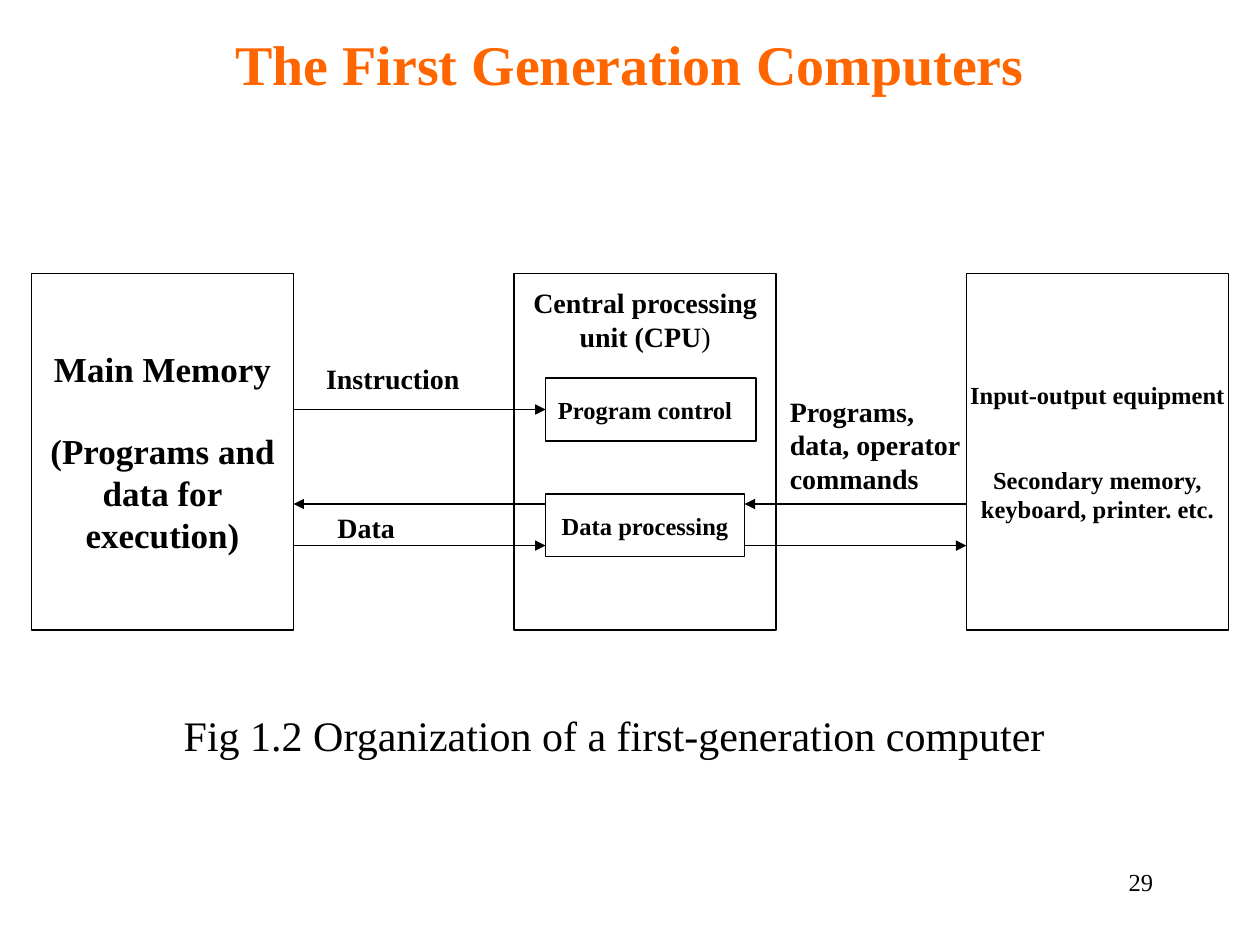
from dataclasses import dataclass

from lxml import etree
from pptx import Presentation
from pptx.dml.color import RGBColor
from pptx.enum.shapes import MSO_CONNECTOR, MSO_SHAPE
from pptx.enum.text import MSO_ANCHOR, PP_ALIGN
from pptx.oxml.ns import qn
from pptx.util import Inches, Pt

LEFT, CENTER, RIGHT = PP_ALIGN.LEFT, PP_ALIGN.CENTER, PP_ALIGN.RIGHT
TOP, MIDDLE = MSO_ANCHOR.TOP, MSO_ANCHOR.MIDDLE
RECT, STRAIGHT = MSO_SHAPE.RECTANGLE, MSO_CONNECTOR.STRAIGHT


@dataclass(frozen=True)
class Theme:
    font: str = "Times New Roman"
    ink: RGBColor = RGBColor(0x00, 0x00, 0x00)
    paper: RGBColor = RGBColor(0xFF, 0xFF, 0xFF)
    accent: RGBColor = RGBColor(0xFF, 0x66, 0x00)
    title: int = 32
    caption: int = 24
    memory: int = 20
    label: int = 16
    small: int = 14
    line: float = 0.75


THEME = Theme()


def write(sp, lines, size, bold=True, color=THEME.ink, align=LEFT,
          anchor=TOP, wrap=True):
    tf = sp.text_frame
    tf.text = "\n".join(lines)
    tf.word_wrap = wrap
    tf.vertical_anchor = anchor
    for p in tf.paragraphs:
        p.alignment = align
        for r in p.runs:
            r.font.name = THEME.font
            r.font.size = Pt(size)
            r.font.bold = bold
            r.font.color.rgb = color
    return tf


def add_label(slide, box, lines, size, **style):
    sp = slide.shapes.add_textbox(*map(Inches, box))
    return write(sp, lines, size, **style)


def add_box(slide, box, lines, size, align=CENTER, anchor=MIDDLE):
    sp = slide.shapes.add_shape(RECT, *map(Inches, box))
    sp.shadow.inherit = False
    sp.fill.solid()
    sp.fill.fore_color.rgb = THEME.paper
    sp.line.color.rgb = THEME.ink
    sp.line.width = Pt(THEME.line)
    return write(sp, lines, size, align=align, anchor=anchor, wrap=False)


def add_arrow(slide, x1, x2, y):
    line = slide.shapes.add_connector(
        STRAIGHT, Inches(x1), Inches(y), Inches(x2), Inches(y))
    line.line.color.rgb = THEME.ink
    line.line.width = Pt(THEME.line)
    ln = line.line._get_or_add_ln()
    etree.SubElement(ln, qn("a:tailEnd"), type="triangle")
    etree.SubElement(line._element.spPr, qn("a:effectLst"))


def add_memory(slide, box):
    lines = ["Main Memory", "(Programs and", "data for", "execution)"]
    tf = add_box(slide, box, lines, THEME.memory)
    tf.paragraphs[1].space_before = Pt(23)


def add_cpu(slide, box):
    """Draw the CPU and return the boxes of its two units."""
    x, y, w, h = box
    lines = ["Central processing", "unit (CPU"]
    tf = add_box(slide, box, lines, THEME.label, anchor=TOP)
    tf.margin_top = Inches(0.1)
    r = tf.paragraphs[1].add_run()
    r.text = ")"
    r.font.name = THEME.font
    r.font.size = Pt(THEME.label)
    r.font.bold = False
    r.font.color.rgb = THEME.ink

    control = (x + 0.25, y + 0.83, 1.67, 0.5)
    data = (x + 0.25, y + 1.75, 1.58, 0.5)
    add_box(slide, control, ["Program control"], THEME.small, align=LEFT)
    add_box(slide, data, ["Data processing"], THEME.small)
    return control, data


def add_equipment(slide, box):
    lines = ["Input-output equipment", "Secondary memory,",
             "keyboard, printer. etc."]
    tf = add_box(slide, box, lines, THEME.small)
    tf.paragraphs[1].space_before = Pt(32)


def add_diagram(slide, box):
    x, y, w, h = box
    block_w = 2.08
    memory_right = x + block_w
    cpu_x = x + 3.83
    equipment_x = x + w - block_w

    # Three main blocks
    add_memory(slide, (x, y, block_w, h))
    control, data = add_cpu(slide, (cpu_x, y, block_w, h))
    add_equipment(slide, (equipment_x, y, block_w, h))

    # Instruction flow, then data flow in both directions on each side
    unit_x = data[0]
    data_right = unit_x + data[2]
    back_y, forth_y = data[1] + 0.08, data[1] + 0.41
    add_arrow(slide, memory_right, unit_x, control[1] + control[3] / 2)
    for left, right, out_y, in_y in (
        (memory_right, unit_x, forth_y, back_y),
        (data_right, equipment_x, forth_y, back_y),
    ):
        add_arrow(slide, left, right, out_y)
        add_arrow(slide, right, left, in_y)

    # Flow labels
    add_label(slide, (x + 2.24, y + 0.65, 1.26, 0.37), ["Instruction"],
              THEME.label, wrap=False)
    add_label(slide, (x + 2.33, y + 1.83, 1.08, 0.37), ["Data"], THEME.label)
    add_label(slide, (x + 5.92, y + 0.91, 1.67, 0.9),
              ["Programs,", "data, operator", "commands"], THEME.label)


def main():
    prs = Presentation()
    prs.slide_width, prs.slide_height = Inches(10), Inches(7.5)
    slide = prs.slides.add_slide(prs.slide_layouts[6])

    # Title
    add_label(slide, (0.75, 0.25, 8.5, 0.5), ["The First Generation Computers"],
              THEME.title, color=THEME.accent, align=CENTER, anchor=MIDDLE)

    add_diagram(slide, (0.25, 2.17, 9.5, 2.83))

    # Caption and page number
    add_label(slide, (0.5, 5.58, 8.75, 0.5),
              ["Fig 1.2 Organization of a first-generation computer"],
              THEME.caption, bold=False, align=CENTER)
    add_label(slide, (7.17, 6.83, 2.08, 0.5), ["29"], THEME.small,
              bold=False, align=RIGHT)

    prs.save("out.pptx")


if __name__ == "__main__":
    main()
